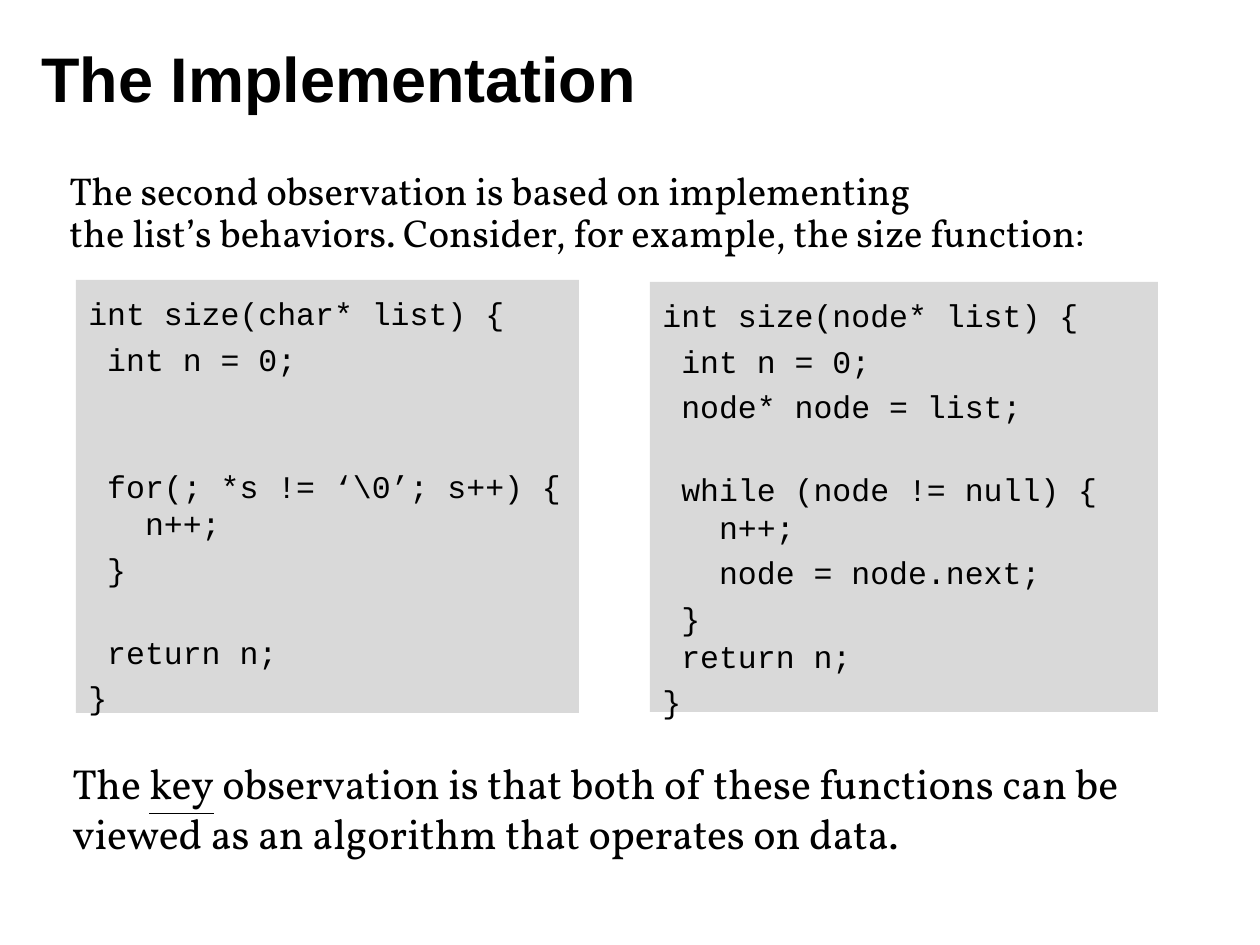
import pptx
import pptx.util
import pptx.dml.color
import pptx.enum.shapes
import pptx.enum.text

PX = 914400 / 126
INSET = 6


def paint(item, hexa):
    if hasattr(item, "solid"):
        item.solid()
        item = item.fore_color
    else:
        item = item.color
    item.rgb = pptx.dml.color.RGBColor.from_string(hexa)


def write(shape, paras, form, top=INSET, line=None, anchor="TOP"):
    """Fill a shape; each paragraph is (space before, list of (text, extra format))."""
    frame = shape.text_frame
    frame.word_wrap = True
    frame.margin_top = int(top * PX)
    frame.vertical_anchor = pptx.enum.text.MSO_ANCHOR[anchor]
    for i, (gap, parts) in enumerate(paras):
        para = frame.paragraphs[0] if i == 0 else frame.add_paragraph()
        para.alignment = pptx.enum.text.PP_ALIGN.LEFT
        para.space_before = pptx.util.Pt(gap)
        if line:
            para.line_spacing = line
        for text, extra in parts:
            for j, row in enumerate(text.split("\n")):
                if j:
                    para.add_line_break()
                run = para.add_run()
                run.text = row
                for key, value in {**form, **extra}.items():
                    setattr(run.font, key, value)
                paint(run.font, "000000")


show = pptx.Presentation()
show.slide_width = pptx.util.Inches(10)
show.slide_height = pptx.util.Inches(7.5)
slide = show.slides.add_slide(show.slide_layouts[6])

# Formats
head = {"name": "Arial", "size": pptx.util.Pt(36), "bold": True}
intro = {"name": "Vollkorn", "size": pptx.util.Pt(22.2)}
close = {"name": "Vollkorn", "size": pptx.util.Pt(24)}
mono = {"name": "Courier New", "size": pptx.util.Pt(18)}

# Title, introduction and conclusion
texts = [
    ((29, 19, 1012, 117), head, [("The Implementation", {})],
     {"anchor": "MIDDLE"}),
    ((57, 156, 1171, 107), intro,
     [("The second observation is based on implementing\n"
       "the list’s behaviors. Consider, for example, the size function:", {})],
     {"top": INSET + 10, "line": 0.9}),
    ((60, 741, 1124, 106), close,
     [("The ", {}), ("key", {"underline": True}),
      (" observation is that both of these functions can be "
       "viewed as an algorithm that operates on data.", {})],
     {"top": INSET + 10}),
]
for place, form, parts, opts in texts:
    box = slide.shapes.add_textbox(*(int(v * PX) for v in place))
    write(box, [(0, parts)], form, **opts)

# Code panels: space before each paragraph, in points
STEP, SKIP, WIDE = 4.5, 25.5, 51
codes = [
    ((76, 280, 503, 433), [
        (0, "int size(char* list) {"),
        (STEP, " int n = 0;"),
        (WIDE, " for(; *s != ‘\\0’; s++) {\n   n++;"),
        (STEP, " }"),
        (SKIP, " return n;"),
        (STEP, "}"),
    ]),
    ((650, 282, 508, 430), [
        (0, "int size(node* list) {"),
        (STEP, " int n = 0;"),
        (STEP, " node* node = list;"),
        (SKIP, " while (node != null) {\n   n++;"),
        (STEP, "   node = node.next;"),
        (STEP, " }\n return n;"),
        (STEP, "}"),
    ]),
]
for place, rows in codes:
    panel = slide.shapes.add_shape(
        pptx.enum.shapes.MSO_SHAPE.RECTANGLE, *(int(v * PX) for v in place))
    panel.shadow.inherit = False
    paint(panel.fill, "D9D9D9")
    panel.line.fill.background()
    write(panel, [(gap, [(text, {})]) for gap, text in rows], mono,
          top=INSET + 8)

show.save("out.pptx")
